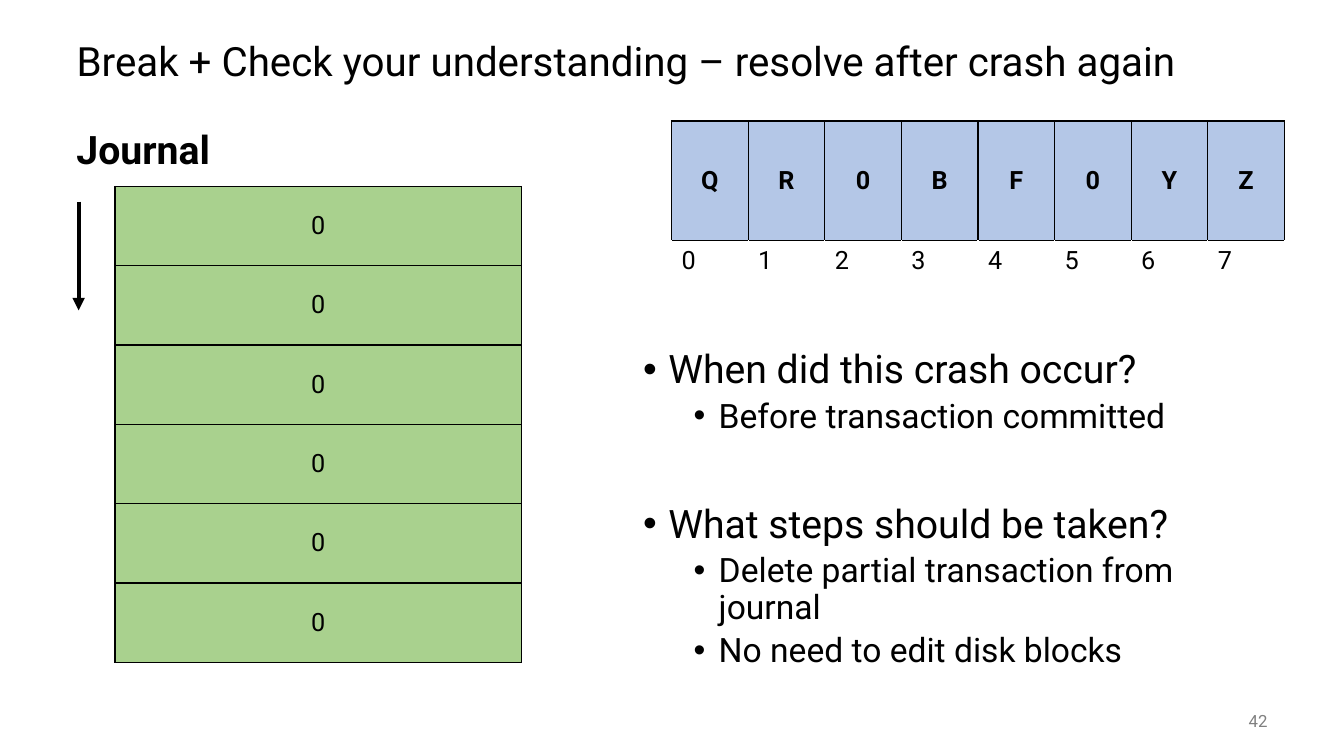
from dataclasses import dataclass

from lxml.etree import SubElement
from pptx import Presentation
from pptx.dml.color import RGBColor
from pptx.enum.shapes import MSO_CONNECTOR
from pptx.enum.text import MSO_ANCHOR, MSO_AUTO_SIZE, PP_ALIGN
from pptx.oxml.ns import qn
from pptx.util import Inches, Pt


@dataclass(frozen=True)
class Theme:
    font: str = "Roboto"
    ink: str = "000000"
    paper: str = "FFFFFF"
    muted: str = "808080"
    disk: str = "B4C7E7"
    journal: str = "A9D18E"
    title: float = 28.8
    heading: float = 28
    detail: float = 24
    cell: float = 18
    footer: float = 12


theme = Theme()


def write(paragraph, text, size, color=theme.ink, bold=False, align=PP_ALIGN.LEFT):
    paragraph.alignment = align
    run = paragraph.add_run()
    run.text = text
    run.font.name = theme.font
    run.font.size = Pt(size)
    run.font.bold = bold
    run.font.color.rgb = RGBColor.from_string(color)


def outline_cell(cell, sides, top):
    properties = cell._tc.get_or_add_tcPr()
    for edge, color in (("L", sides), ("R", sides), ("T", top), ("B", sides)):
        border = SubElement(properties, qn(f"a:ln{edge}"), w=str(Pt(1)))
        fill = SubElement(border, qn("a:solidFill"))
        SubElement(fill, qn("a:srgbClr"), val=color)


prs = Presentation()
prs.slide_width = Inches(13.33)
prs.slide_height = Inches(7.5)
slide = prs.slides.add_slide(prs.slide_layouts[5])

title = slide.shapes.title
title.left, title.top = Inches(0.66), Inches(0.25)
title.width, title.height = Inches(12), Inches(0.75)
title.text_frame.auto_size = MSO_AUTO_SIZE.NONE
title.text_frame.vertical_anchor = MSO_ANCHOR.MIDDLE
title.text_frame.paragraphs[0].line_spacing = 0.9
write(title.text_frame.paragraphs[0],
      "Break + Check your understanding – resolve after crash again", theme.title)

journal_label = slide.shapes.add_textbox(
    Inches(0.66), Inches(1.25), Inches(5.75), Inches(0.6)).text_frame
journal_label.word_wrap = True
journal_label.paragraphs[0].line_spacing = 0.9
write(journal_label.paragraphs[0], "Journal", theme.heading, bold=True)

page_number = slide.shapes.add_textbox(
    Inches(11.67), Inches(6.95), Inches(1), Inches(0.4)).text_frame
page_number.word_wrap = True
page_number.vertical_anchor = MSO_ANCHOR.MIDDLE
write(page_number.paragraphs[0], "42", theme.footer, theme.muted, align=PP_ALIGN.RIGHT)

questions = slide.shapes.add_textbox(
    Inches(6.28), Inches(3.42), Inches(6.39), Inches(3.33)).text_frame
questions.word_wrap = True
question_lines = [
    (0, 0, "When did this crash occur?"),
    (1, 5, "Before transaction committed"),
    (0, 49.5, "What steps should be taken?"),
    (1, 5, "Delete partial transaction from journal"),
    (1, 5, "No need to edit disk blocks"),
]
for index, (level, space_before, text) in enumerate(question_lines):
    line = questions.add_paragraph() if index else questions.paragraphs[0]
    line.level = level
    line.line_spacing = 0.9
    line.space_before = Pt(space_before)
    properties = line._p.get_or_add_pPr()
    properties.set("marL", str(Inches(0.25 + 0.5 * level)))
    properties.set("indent", str(Inches(-0.25)))
    SubElement(properties, qn("a:buFont"), typeface="Arial")
    SubElement(properties, qn("a:buChar"), char="•")
    write(line, text, theme.detail if level else theme.heading)

disk_blocks = "QR0BFOYZ".replace("O", "0")
disk = slide.shapes.add_table(
    2, len(disk_blocks), Inches(6.66), Inches(1.2), Inches(6.08), Inches(1.73)).table
disk.rows[0].height, disk.rows[1].height = Inches(1.19), Inches(0.54)
journal = slide.shapes.add_table(
    6, 1, Inches(1.14), Inches(1.85), Inches(4.03), Inches(4.72)).table
for grid in (disk, journal):
    grid.first_row = False
    grid.horz_banding = False

block_cells = [(disk.cell(0, column), value, theme.disk, True)
               for column, value in enumerate(disk_blocks)]
block_cells += [(journal.cell(row, 0), "0", theme.journal, False)
                for row in range(len(journal.rows))]
for cell, value, color, bold in block_cells:
    outline_cell(cell, theme.ink, theme.ink)
    cell.fill.solid()
    cell.fill.fore_color.rgb = RGBColor.from_string(color)
    cell.vertical_anchor = MSO_ANCHOR.MIDDLE
    write(cell.text_frame.paragraphs[0], value, theme.cell, bold=bold, align=PP_ALIGN.CENTER)

for column in range(len(disk_blocks)):
    block_index = disk.cell(1, column)
    outline_cell(block_index, theme.paper, theme.ink)
    block_index.fill.background()
    write(block_index.text_frame.paragraphs[0], str(column), theme.cell)

write_direction = slide.shapes.add_connector(
    MSO_CONNECTOR.STRAIGHT, Inches(0.78), Inches(2), Inches(0.78), Inches(3.08))
write_direction.line.width = Pt(3)
write_direction.line.color.rgb = RGBColor.from_string(theme.ink)
SubElement(write_direction.line._get_or_add_ln(), qn("a:tailEnd"), type="triangle")
SubElement(write_direction._element.spPr, qn("a:effectLst"))

prs.save("out.pptx")
